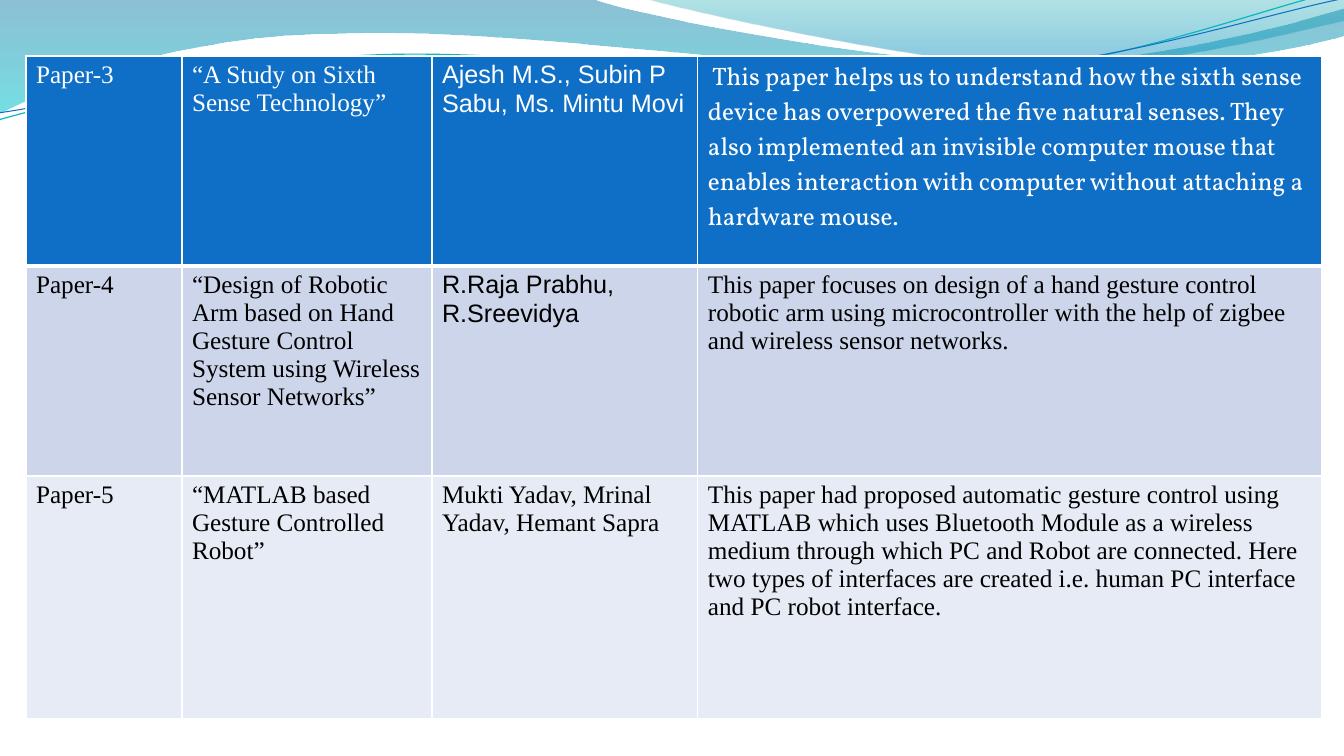
"""Build a slide with a literature table below a wave-shaped header."""
from dataclasses import dataclass

from lxml.etree import SubElement
from pptx import Presentation
from pptx.dml.color import RGBColor as Color
from pptx.oxml.ns import qn
from pptx.shapes.autoshape import Shape
from pptx.slide import Slide
from pptx.table import _Cell as Cell
from pptx.util import Emu, Pt

EMU_PER_PX = 914400 / 100.8


@dataclass(frozen=True)
class Theme:
    header: str = "0F6FC6"
    bands: tuple[str, ...] = ("CCD5EA", "E7EBF5")
    header_text: str = "FFFFFF"
    body_text: str = "000000"
    border: str = "FFFFFF"
    teal_line: str = "0AB8BF"
    blue_line: str = "0F6FC6"
    upper_wave: tuple[str, str] = ("0074A1", "00C6CF")
    right_wave: tuple[str, str] = ("00A1A9", "008BBF")
    serif: str = "Times New Roman"
    sans: str = "Arial"
    book: str = "Vollkorn"
    text_size: float = 18
    thin_border: float = 1
    thick_border: float = 3


THEME = Theme()


@dataclass(frozen=True)
class GradientStop:
    position: float
    color: str
    opacity: int


@dataclass(frozen=True)
class Wave:
    start: tuple[int, int]
    segments: tuple[tuple[int, ...], ...]
    stops: tuple[GradientStop, ...] = ()
    line_color: str = ""
    line_width: float = 0
    rotation: float = 0


@dataclass(frozen=True)
class Paper:
    texts: tuple[str, str, str, str]
    height: int
    authors_font: str = THEME.serif
    summary_font: str = THEME.serif


WAVES = (
    Wave((0, -1), ((592, -1), (639, 17, 892, 64, 1019, 64), (1147, 64, 1288, 26, 1344, 9),
                   (1346, 36), (1322, 44, 1169, 77, 1002, 76), (836, 76, 513, 28, 346, 34),
                   (173, 35, 61, 84, -1, 114)),
         stops=(GradientStop(0, THEME.upper_wave[0], 45),
                GradientStop(1, THEME.upper_wave[1], 55))),
    Wave((644, -1), ((684, 11, 916, 62, 1033, 66), (1150, 70, 1292, 32, 1344, 21), (1344, 0)),
         stops=(GradientStop(0, THEME.right_wave[0], 30),
                GradientStop(0.8, THEME.right_wave[1], 45))),
    Wave((-3, 88), ((64, 73, 213, 40, 372, 41), (532, 41, 794, 94, 957, 91),
                    (1118, 87, 1264, 36, 1344, 22)),
         line_color=THEME.teal_line, line_width=0.85, rotation=357.3),
    Wave((-2, 81), ((63, 75, 220, 46, 381, 46), (541, 47, 801, 89, 962, 87),
                    (1124, 83, 1266, 42, 1347, 30)),
         line_color=THEME.blue_line, line_width=0.75, rotation=357.3),
)

COLUMN_WIDTHS = (156, 250, 266, 624)
PAPERS = (
    Paper(("Paper-3", "“A Study on Sixth Sense Technology”",
           "Ajesh M.S., Subin P Sabu, Ms. Mintu Movi",
           " This paper helps us to understand how the sixth sense device has overpowered the five "
           "natural senses. They also implemented an invisible computer mouse that enables "
           "interaction with computer without attaching a hardware mouse."),
          210, authors_font=THEME.sans, summary_font=THEME.book),
    Paper(("Paper-4",
           "“Design of Robotic Arm based on Hand Gesture Control System using Wireless "
           "Sensor Networks”",
           "R.Raja Prabhu, R.Sreevidya",
           "This paper focuses on design of a hand gesture control robotic arm using "
           "microcontroller with the help of zigbee and wireless sensor networks."),
          210, authors_font=THEME.sans),
    Paper(("Paper-5", "“MATLAB based Gesture Controlled Robot”",
           "Mukti Yadav, Mrinal Yadav, Hemant Sapra",
           "This paper had proposed automatic gesture control using MATLAB which uses Bluetooth "
           "Module as a wireless medium through which PC and Robot are connected. Here two types "
           "of interfaces are created i.e. human PC interface and PC robot interface."),
          243),
)


def px(length: float) -> Emu:
    """Turn pixels into EMU."""
    return Emu(round(length * EMU_PER_PX))


def bend_curves(shape: Shape, wave: Wave) -> None:
    """Join each three steps of a curved segment into one Bézier curve."""
    steps = iter(list(shape._element.spPr.iter(qn("a:lnTo"))))
    for segment in wave.segments:
        first = next(steps)
        if len(segment) == 6:
            curve = first.makeelement(qn("a:cubicBezTo"))
            first.addprevious(curve)
            for step in (first, next(steps), next(steps)):
                curve.append(step[0])
                step.getparent().remove(step)


def fill_gradient(shape: Shape, stops: tuple[GradientStop, ...]) -> None:
    """Fill a shape from top to bottom with translucent colours."""
    shape.fill.gradient()
    shape.fill.gradient_angle = 270
    for target, stop in zip(shape.fill.gradient_stops, stops):
        target.position = stop.position
        target.color.rgb = Color.from_string(stop.color)
    for color, stop in zip(shape._element.spPr.iter(qn("a:srgbClr")), stops):
        SubElement(color, qn("a:alpha"), val=str(stop.opacity * 1000))


def draw_wave(slide: Slide, wave: Wave) -> None:
    """Draw a filled wave or a wavy line."""
    x, y = wave.start
    points = [(px(segment[i]), px(segment[i + 1]))
              for segment in wave.segments for i in range(0, len(segment), 2)]
    builder = slide.shapes.build_freeform(px(x), px(y), scale=1.0)
    builder.add_line_segments(points, close=bool(wave.stops))
    shape = builder.convert_to_shape()
    bend_curves(shape, wave)
    shape.rotation = wave.rotation
    shape.shadow.inherit = False
    if wave.stops:
        fill_gradient(shape, wave.stops)
        shape.line.fill.background()
    else:
        shape.fill.background()
        shape.line.color.rgb = Color.from_string(wave.line_color)
        shape.line.width = Pt(wave.line_width)


def write_text(cell: Cell, text: str, *, font: str, color: str,
               size: float = THEME.text_size) -> None:
    """Write formatted text into a cell."""
    run = cell.text_frame.paragraphs[0].add_run()
    run.text = text
    run.font.name = font
    run.font.size = Pt(size)
    run.font.bold = False
    run.font.color.rgb = Color.from_string(color)


def add_header_borders(cell: Cell) -> None:
    """Give a header cell thin borders and a thick lower one."""
    properties = cell._tc.get_or_add_tcPr()
    for side in "LRTB":
        width = THEME.thick_border if side == "B" else THEME.thin_border
        line = SubElement(properties, qn(f"a:ln{side}"), w=str(Pt(width)))
        SubElement(SubElement(line, qn("a:solidFill")), qn("a:srgbClr"), val=THEME.border)


def draw_papers(slide: Slide) -> None:
    """Draw the table of papers."""
    height = sum(paper.height for paper in PAPERS)
    table = slide.shapes.add_table(len(PAPERS), len(COLUMN_WIDTHS), px(26), px(56),
                                   px(sum(COLUMN_WIDTHS)), px(height)).table
    for column, width in zip(table.columns, COLUMN_WIDTHS):
        column.width = px(width)
    for index, (row, paper) in enumerate(zip(table.rows, PAPERS)):
        row.height = px(paper.height)
        fill = (THEME.header, *THEME.bands)[index]
        color = THEME.body_text if index else THEME.header_text
        fonts = (THEME.serif, THEME.serif, paper.authors_font, paper.summary_font)
        for cell, text, font in zip(row.cells, paper.texts, fonts):
            if index == 0:
                add_header_borders(cell)
            cell.fill.solid()
            cell.fill.fore_color.rgb = Color.from_string(fill)
            write_text(cell, text, font=font, color=color)


def main() -> None:
    """Build and save the presentation."""
    presentation = Presentation()
    presentation.slide_width = px(1344)
    presentation.slide_height = px(756)
    slide = presentation.slides.add_slide(presentation.slide_layouts.get_by_name("Blank"))
    for wave in WAVES:
        draw_wave(slide, wave)
    draw_papers(slide)
    presentation.save("out.pptx")


if __name__ == "__main__":
    main()
